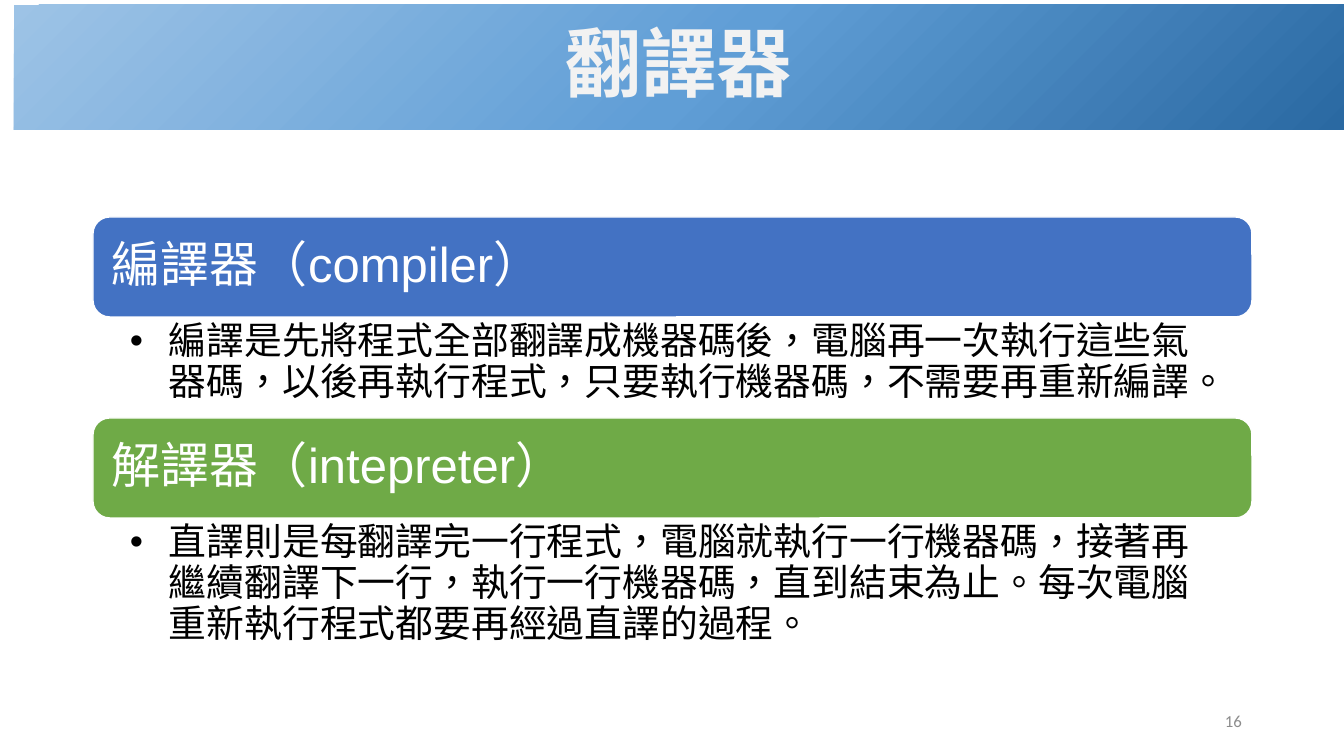
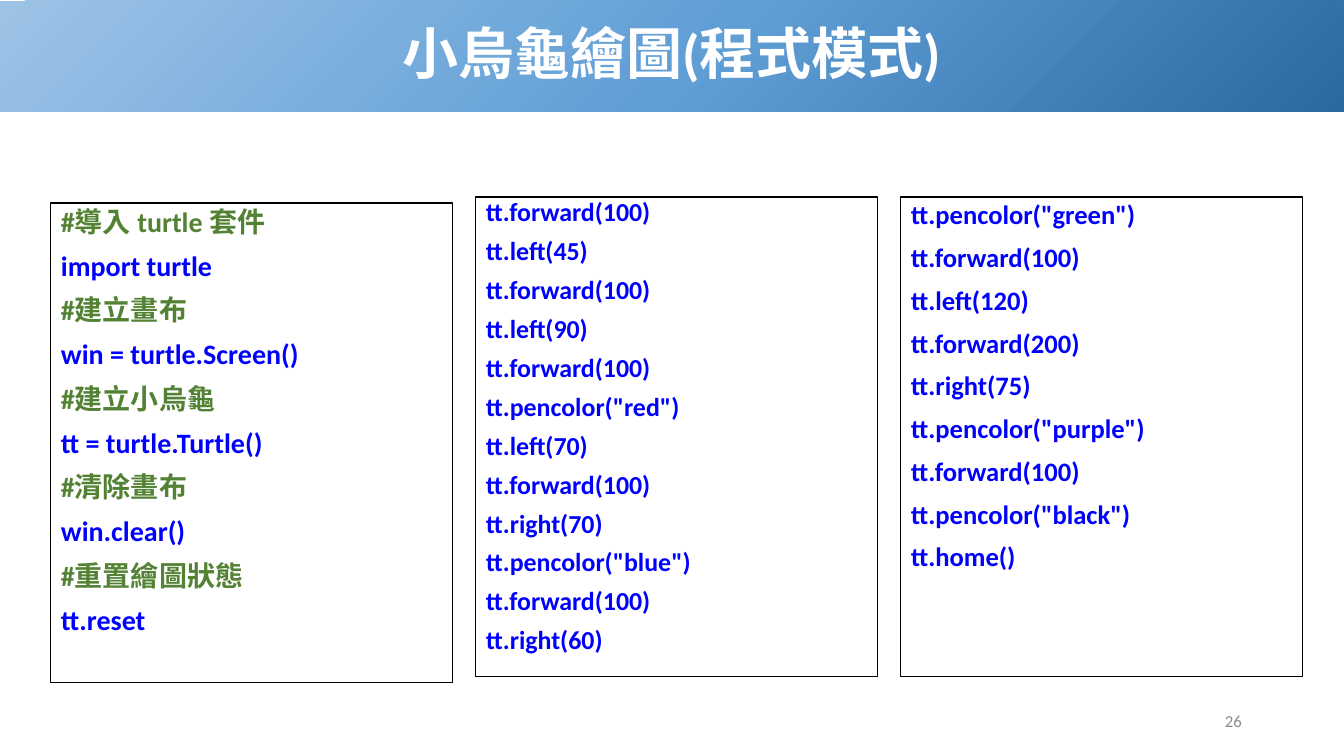
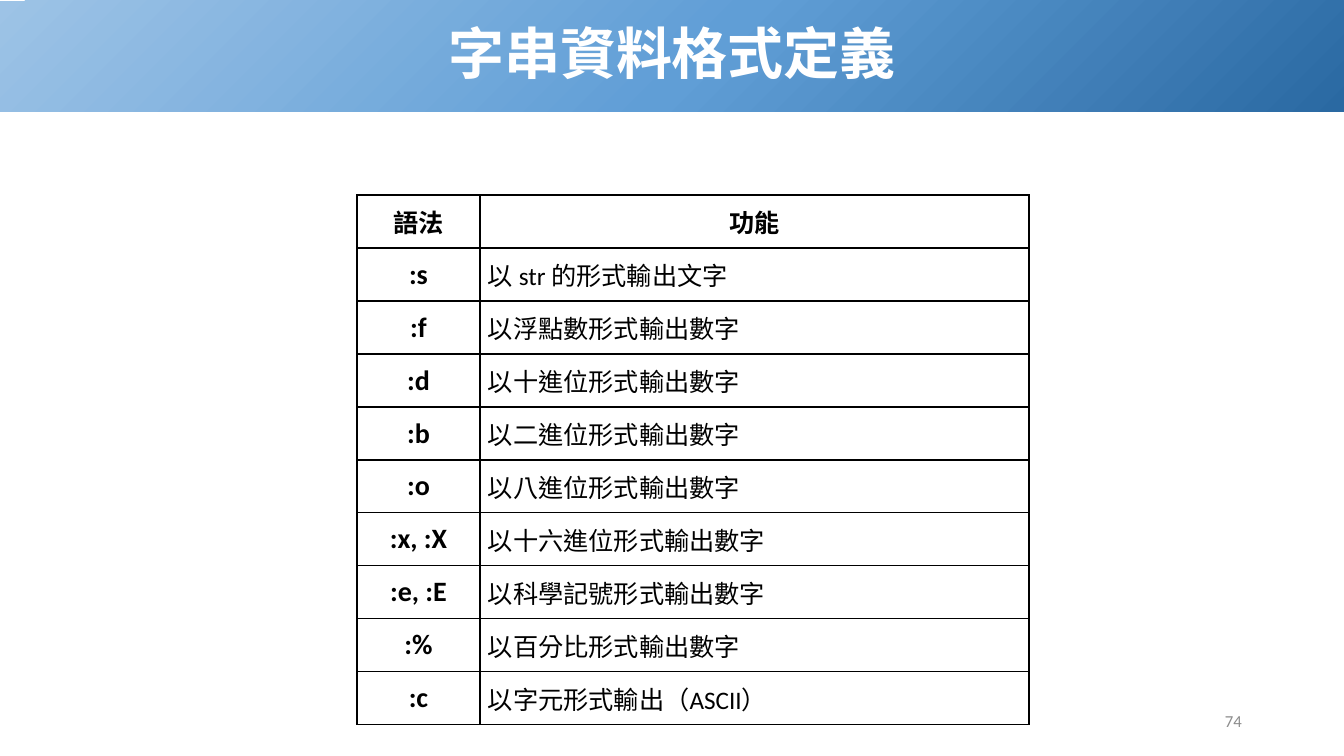
from pptx import Presentation
from pptx.dml.color import RGBColor
from pptx.enum.shapes import MSO_SHAPE as Preset
from pptx.enum.text import MSO_ANCHOR as Anchor, PP_ALIGN as Align
from pptx.oxml import parse_xml
from pptx.oxml.ns import nsdecls, qn
from pptx.util import Pt

# Scale, fonts and colours
PX = 914400 / 100.8
LATIN, CJK, BULLET_FONT = "Calibri", "Noto Sans CJK SC", "Arial"
BLACK = RGBColor(0x00, 0x00, 0x00)
WHITE = RGBColor(0xFF, 0xFF, 0xFF)
OFF_WHITE = RGBColor(0xF2, 0xF2, 0xF2)
GREY = RGBColor(0x8C, 0x8C, 0x8C)
CARD_BLUE = RGBColor(0x43, 0x72, 0xC3)
CARD_GREEN = RGBColor(0x6F, 0xAA, 0x47)
CODE_BLUE = RGBColor(0x00, 0x00, 0xFF)
COMMENT_GREEN = RGBColor(0x54, 0x82, 0x35)
BAND_STOPS = (
    (0, RGBColor(0x2A, 0x69, 0xA2)),
    (48, RGBColor(0x60, 0x9E, 0xD6)),
    (100, RGBColor(0x9D, 0xC3, 0xE6)),
)


def px(length):
    return round(length * PX)


class Deck:
    """Shared style plus the slide being built."""

    def __init__(self):
        self.prs = Presentation()
        self.prs.slide_width, self.prs.slide_height = px(1344), px(756)
        self.slide = None

    def new_slide(self, title, number, band=(0, 1, 1344, 111), size=40, color=WHITE):
        self.slide = self.prs.slides.add_slide(self.prs.slide_layouts[6])
        self.title_band(title, band, size, color)
        self.page_number(number)

    # Basic elements
    def box(self, at, preset=Preset.RECTANGLE, fill=None, line=None, weight=1):
        shape = self.slide.shapes.add_shape(preset, *map(px, at))
        shape.shadow.inherit = False
        if fill is None:
            shape.fill.background()
        else:
            shape.fill.solid()
            shape.fill.fore_color.rgb = fill
        if line is None:
            shape.line.fill.background()
        else:
            shape.line.color.rgb = line
            shape.line.width = Pt(weight)
        return shape

    def frame(self, shape, anchor=Anchor.TOP, insets=(10, 5, 10, 5)):
        frame = shape.text_frame
        frame.word_wrap = True
        frame.vertical_anchor = anchor
        (frame.margin_left, frame.margin_top,
         frame.margin_right, frame.margin_bottom) = map(px, insets)
        return frame

    def text(self, paragraph, words, size, color, font=LATIN, bold=False,
             align=Align.LEFT, spacing=None):
        paragraph.alignment = align
        if spacing:
            paragraph.line_spacing = spacing
        run = paragraph.add_run()
        run.text = words
        run.font.name, run.font.size, run.font.bold = font, Pt(size), bold
        run.font.color.rgb = color
        props = run.font._element
        props.set("lang", "zh-TW")
        props.find(qn("a:latin")).addnext(
            parse_xml(f'<a:ea {nsdecls("a")} typeface="{CJK}"/>'))

    # Parts found on every slide
    def title_band(self, title, at, size, color):
        band = self.box(at)
        stops = "".join(
            f'<a:gs pos="{pos * 1000}"><a:srgbClr val="{rgb}"/></a:gs>'
            for pos, rgb in BAND_STOPS)
        gradient = parse_xml(
            f'<a:gradFill {nsdecls("a")} rotWithShape="1"><a:gsLst>{stops}</a:gsLst>'
            '<a:path path="circle"><a:fillToRect l="100000" t="100000"/></a:path>'
            '<a:tileRect r="-100000" b="-100000"/></a:gradFill>')
        props = band._element.spPr
        props.replace(props.find(qn("a:noFill")), gradient)
        self.text(self.frame(band, Anchor.MIDDLE).paragraphs[0], title, size, color,
                  bold=True, align=Align.CENTER, spacing=0.9)

    def page_number(self, number):
        footer = self.slide.shapes.add_textbox(*map(px, (950, 701, 302, 40)))
        self.text(self.frame(footer, Anchor.MIDDLE).paragraphs[0], str(number), 12,
                  GREY, align=Align.RIGHT)

    # Parts of single slides
    def term_card(self, top, term, color, detail, detail_height):
        left, width, height = 93, 1159, 100
        header = self.box((left, top, width, height), Preset.ROUNDED_RECTANGLE,
                          color, WHITE)
        self.text(self.frame(header, Anchor.MIDDLE, (14, 15, 14, 15)).paragraphs[0],
                  term, 35, WHITE, font="Arial", spacing=0.9)

        body = self.slide.shapes.add_textbox(
            *map(px, (left, top + height, width, detail_height)))
        paragraph = self.frame(body, insets=(37, 5, 27, 5)).paragraphs[0]
        props = paragraph._p.get_or_add_pPr()
        props.set("marL", str(px(39)))
        props.set("indent", str(px(-39)))
        for bullet in (f'<a:buClr {nsdecls("a")}><a:srgbClr val="{BLACK}"/></a:buClr>',
                       f'<a:buFont {nsdecls("a")} typeface="{BULLET_FONT}"/>',
                       f'<a:buChar {nsdecls("a")} char="•"/>'):
            props.append(parse_xml(bullet))
        self.text(paragraph, detail, 27, BLACK, font=CJK, spacing=0.9)

    def code_panel(self, left, top, code, size, spacing):
        panel = self.box((left, top, 402, 480), line=BLACK, weight=0.75)
        frame = self.frame(panel)
        for index, line in enumerate(code.strip().splitlines()):
            paragraph = frame.add_paragraph() if index else frame.paragraphs[0]
            if index:
                paragraph.space_before = Pt(10)
            color = COMMENT_GREEN if line.startswith("#") else CODE_BLUE
            self.text(paragraph, line, size, color, bold=True, spacing=spacing)

    def grid(self, left, top, widths, row_height, rows):
        table = self.slide.shapes.add_table(
            len(rows), len(widths), px(left), px(top),
            px(sum(widths)), px(row_height * len(rows))).table
        for column, width in zip(table.columns, widths):
            column.width = px(width)
        for r, row in enumerate(rows):
            table.rows[r].height = px(row_height)
            for c, words in enumerate(row):
                heading, syntax = r == 0, c == 0
                cell = table.cell(r, c)
                self.cell_style(cell)
                self.text(cell.text_frame.paragraphs[0], words,
                          20 if syntax and not heading else 18, BLACK,
                          font=CJK if heading and syntax else LATIN,
                          bold=heading or syntax,
                          align=Align.CENTER if heading or syntax else Align.LEFT)

    def cell_style(self, cell):
        cell.vertical_anchor = Anchor.MIDDLE
        cell.margin_left = cell.margin_right = px(8)
        cell.margin_top = cell.margin_bottom = px(8)
        props = cell._tc.get_or_add_tcPr()
        for side in "LRTB":
            props.append(parse_xml(
                f'<a:ln{side} {nsdecls("a")} w="{int(Pt(1))}"><a:solidFill>'
                f'<a:srgbClr val="{BLACK}"/></a:solidFill></a:ln{side}>'))
        cell.fill.solid()
        cell.fill.fore_color.rgb = WHITE


# Content
TERMS = (
    ("編譯器（compiler）", CARD_BLUE,
     "編譯是先將程式全部翻譯成機器碼後，電腦再一次執行這些氣器碼，"
     "以後再執行程式，只要執行機器碼，不需要再重新編譯。", 102),
    ("解譯器（intepreter）", CARD_GREEN,
     "直譯則是每翻譯完一行程式，電腦就執行一行機器碼，接著再繼續翻譯下一行，"
     "執行一行機器碼，直到結束為止。每次電腦重新執行程式都要再經過直譯的過程。", 148),
)

SETUP_CODE = """
#導入 turtle 套件
import turtle
#建立畫布
win = turtle.Screen()
#建立小烏龜
tt = turtle.Turtle()
#清除畫布
win.clear()
#重置繪圖狀態
tt.reset
"""

DRAW_CODE = """
tt.forward(100)
tt.left(45)
tt.forward(100)
tt.left(90)
tt.forward(100)
tt.pencolor("red")
tt.left(70)
tt.forward(100)
tt.right(70)
tt.pencolor("blue")
tt.forward(100)
tt.right(60)
"""

FINISH_CODE = """
tt.pencolor("green")
tt.forward(100)
tt.left(120)
tt.forward(200)
tt.right(75)
tt.pencolor("purple")
tt.forward(100)
tt.pencolor("black")
tt.home()
"""

FORMATS = (
    ("語法", "功能"),
    (":s", "以 str 的形式輸出文字"),
    (":f", "以浮點數形式輸出數字"),
    (":d", "以十進位形式輸出數字"),
    (":b", "以二進位形式輸出數字"),
    (":o", "以八進位形式輸出數字"),
    (":x, :X", "以十六進位形式輸出數字"),
    (":e, :E", "以科學記號形式輸出數字"),
    (":%", "以百分比形式輸出數字"),
    (":c", "以字元形式輸出（ASCII）"),
)


def main():
    deck = Deck()

    # Translators
    deck.new_slide("翻譯器", 16, band=(14, 5, 1330, 125), size=54, color=OFF_WHITE)
    for index, term in enumerate(TERMS):
        deck.term_card(217 + 201 * index, *term)

    # Turtle drawing
    deck.new_slide("小烏龜繪圖(程式模式)", 26)
    panels = ((203, SETUP_CODE, 20, 0.9), (197, DRAW_CODE, 18.5, 0.8),
              (197, FINISH_CODE, 19, 0.9))
    for index, panel in enumerate(panels):
        deck.code_panel(51 + 425 * index, *panel)

    # String formats
    deck.new_slide("字串資料格式定義", 74)
    deck.grid(357, 195, (123, 549), 53, FORMATS)

    deck.prs.save("out.pptx")


if __name__ == "__main__":
    main()
